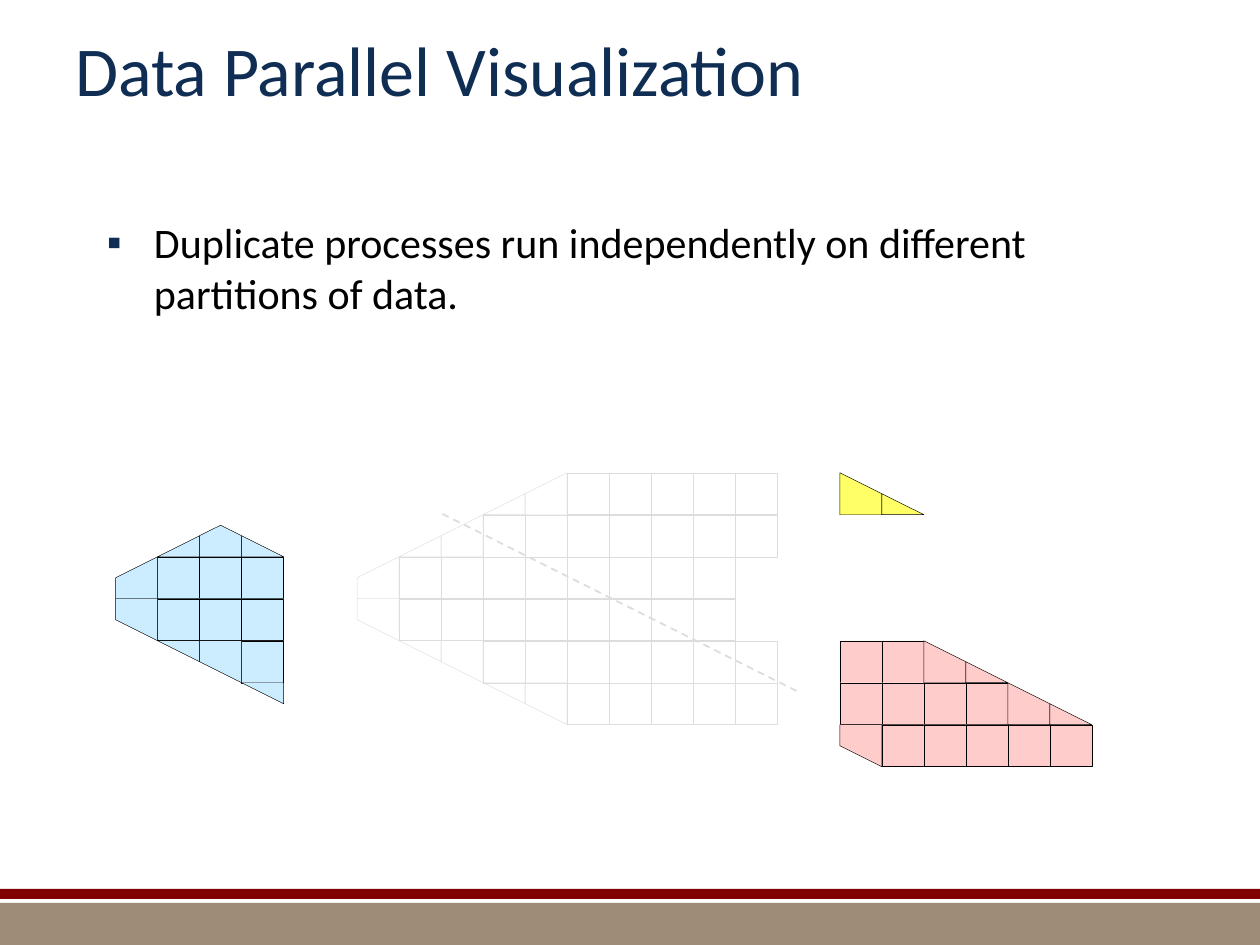
from dataclasses import dataclass

from lxml import etree
from pptx import Presentation
from pptx.dml.color import RGBColor
from pptx.enum.dml import MSO_LINE
from pptx.enum.shapes import MSO_CONNECTOR, MSO_SHAPE
from pptx.enum.text import MSO_ANCHOR, MSO_AUTO_SIZE, PP_ALIGN
from pptx.oxml.ns import qn
from pptx.util import Cm, Pt

RECT = MSO_SHAPE.RECTANGLE
STRAIGHT = MSO_CONNECTOR.STRAIGHT
DASH = MSO_LINE.DASH
LEFT = PP_ALIGN.LEFT
TOP, MIDDLE = MSO_ANCHOR.TOP, MSO_ANCHOR.MIDDLE
NO_FIT = MSO_AUTO_SIZE.NONE


@dataclass(frozen=True)
class Theme:
    font: str = "Calibri"
    navy: str = "102E54"
    black: str = "000000"
    grey: str = "DDDDDD"
    blue: str = "CCECFF"
    yellow: str = "FFFF66"
    pink: str = "FFCCCC"
    red: str = "800000"
    tan: str = "9E8C78"
    title: int = 40
    body: int = 24
    thin: float = 0.25
    cell: float = 2.54 / 3  # side of one mesh cell, cm


def quad(x, y, dx, dy):
    """Cell cut by the slope: full height at one side, half at the other."""
    return [(x, y), (x + dx, y), (x + dx, y + dy), (x, y + dy / 2)]


def tri(x, y, dx, dy):
    """Half-height corner that the slope leaves in a cell."""
    return [(x, y), (x + dx, y), (x + dx, y + dy / 2)]


class Board:
    def __init__(self, slide, theme):
        self.slide, self.theme = slide, theme

    def text(self, holder, box, words, size, color, anchor):
        holder.left, holder.top, holder.width, holder.height = map(Cm, box)
        frame = holder.text_frame
        frame.word_wrap = True
        frame.auto_size = NO_FIT
        frame.vertical_anchor = anchor
        para = frame.paragraphs[0]
        para.alignment = LEFT
        para.space_before = Pt(0)
        run = para.add_run()
        run.text = words
        run.font.name = self.theme.font
        run.font.size = Pt(size)
        run.font.color.rgb = RGBColor.from_string(color)
        return para

    def bullet(self, para, mark, indent):
        props = para._p.get_or_add_pPr()
        props.set("marL", str(Cm(indent)))
        props.set("indent", str(-Cm(indent)))
        color = etree.SubElement(props, qn("a:buClr"))
        etree.SubElement(color, qn("a:srgbClr"), val=self.theme.navy)
        etree.SubElement(props, qn("a:buFont"), typeface="Arial")
        etree.SubElement(props, qn("a:buChar"), char=mark)

    def paint(self, shape, fill=None, line=None):
        shape.shadow.inherit = False
        if fill:
            shape.fill.solid()
            shape.fill.fore_color.rgb = RGBColor.from_string(fill)
        else:
            shape.fill.background()
        if line:
            shape.line.color.rgb = RGBColor.from_string(line)
            shape.line.width = Pt(self.theme.thin)
        else:
            shape.line.fill.background()

    def band(self, top, height, fill):
        box = map(Cm, (0, top, 25.4, height))
        self.paint(self.slide.shapes.add_shape(RECT, *box), fill)

    def mesh(self, left, top, rows, cuts, fill, line):
        """Rows map a row to its columns; cuts are outlines in cell units."""
        shapes = self.slide.shapes.add_group_shape().shapes
        side = self.theme.cell

        def spot(x, y):
            return Cm(left + x * side), Cm(top + y * side)

        for row, cols in rows.items():
            for col in cols:
                cell = shapes.add_shape(RECT, *spot(col, row), Cm(side), Cm(side))
                self.paint(cell, fill, line)
        for cut in cuts:
            first, *rest = [spot(x, y) for x, y in cut]
            pen = shapes.build_freeform(*first)
            pen.add_line_segments(rest, close=True)
            self.paint(pen.convert_to_shape(), fill, line)

    def dashed(self, start, end, color):
        ends = map(Cm, (*start, *end))
        line = self.slide.shapes.add_connector(STRAIGHT, *ends)
        line.line.color.rgb = RGBColor.from_string(color)
        line.line.width = Pt(1)
        line.line.dash_style = DASH
        etree.SubElement(line._element.spPr, qn("a:effectLst"))


def main():
    deck = Presentation()
    deck.slide_width, deck.slide_height = Cm(25.4), Cm(19.05)
    slide = deck.slides.add_slide(deck.slide_layouts[1])
    look = Theme()
    board = Board(slide, look)

    # Footer bands
    board.band(18.2, 0.85, look.tan)
    board.band(17.92, 0.2, look.red)

    # Title and bullet
    title, body = slide.placeholders
    board.text(title, (1.27, 0, 22.86, 2.75), "Data Parallel Visualization",
               look.title, look.navy, MIDDLE)
    para = board.text(
        body, (1.9, 4.24, 21.6, 2.75),
        "Duplicate processes run independently on different partitions of data.",
        look.body, look.black, TOP)
    board.bullet(para, "▪", 0.95)

    # Whole mesh: the lower half mirrors the upper one
    top = 9.53
    upper = {0: range(5, 10), 1: range(3, 10), 2: range(1, 9)}
    rows = upper | {5 - row: cols for row, cols in upper.items()}
    slope = [quad(0, 3, 1, -1), tri(1, 2, 1, -1), quad(2, 2, 1, -1),
             tri(3, 1, 1, -1), quad(4, 1, 1, -1)]
    mirror = [[(x, 6 - y) for x, y in cut] for cut in slope]
    board.mesh(7.2, top, rows, slope + mirror, None, look.grey)

    # Partition line
    board.dashed((8.92, 10.36), (16.08, 13.94), look.grey)

    # Left partition: the peak is where the two slopes meet
    peak = [(2, 2), (3, 2), (3, 1.5), (2.5, 1.25), (2, 1.5)]
    board.mesh(2.33, top, {2: range(1, 4), 3: range(1, 4), 4: [3]},
               slope[:2] + [peak, tri(4, 2, -1, -1)] + mirror[:4],
               look.blue, look.black)

    # Upper right partition
    board.mesh(16.93, top, {}, [quad(1, 1, -1, -1), tri(2, 1, -1, -1)],
               look.yellow, look.black)

    # Lower right partition
    board.mesh(16.93, top, {4: range(2), 5: range(4), 6: range(1, 6)},
               [quad(0, 6, 1, 1), quad(3, 5, -1, -1), tri(4, 5, -1, -1),
                quad(5, 6, -1, -1), tri(6, 6, -1, -1)],
               look.pink, look.black)

    deck.save("out.pptx")


if __name__ == "__main__":
    main()
